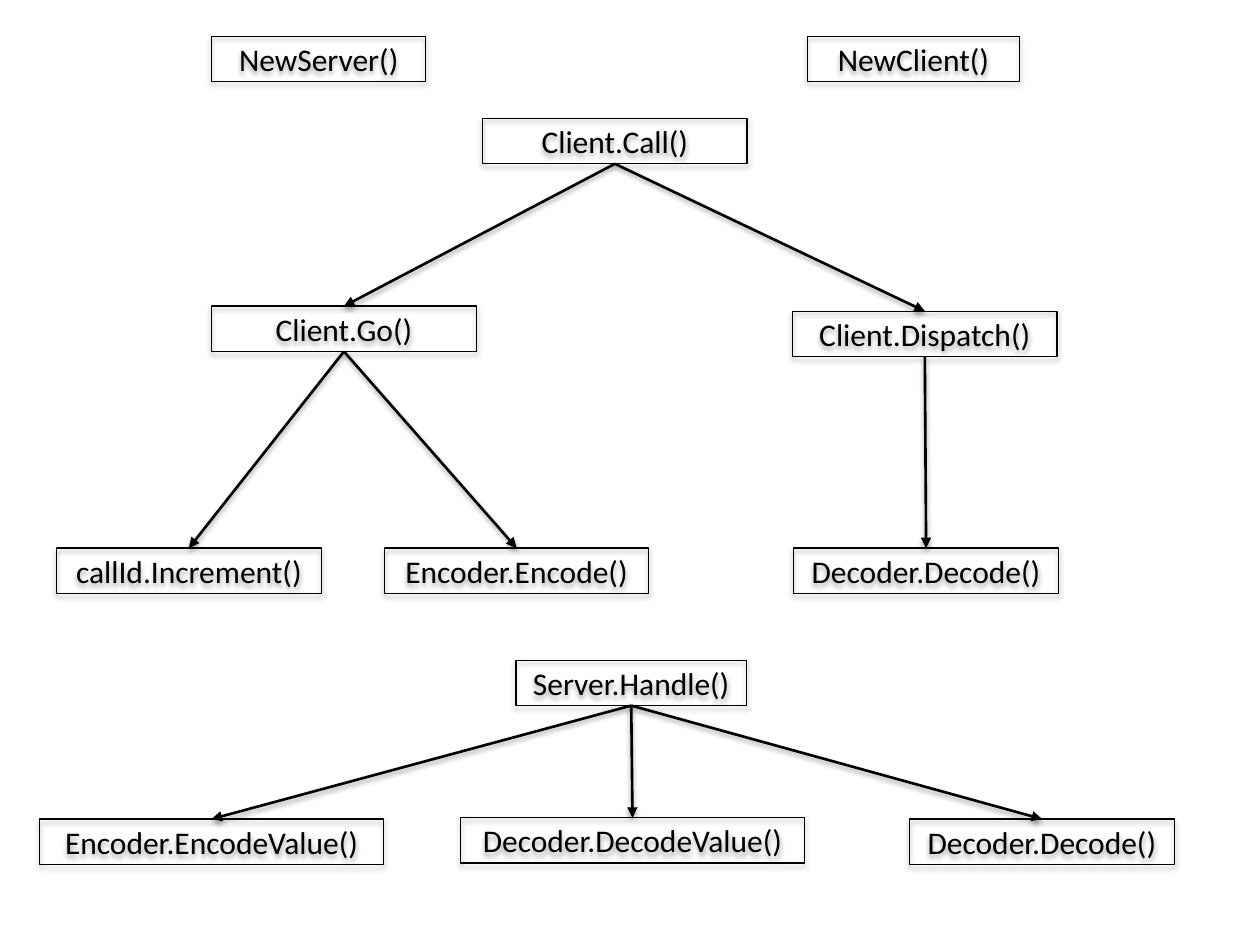
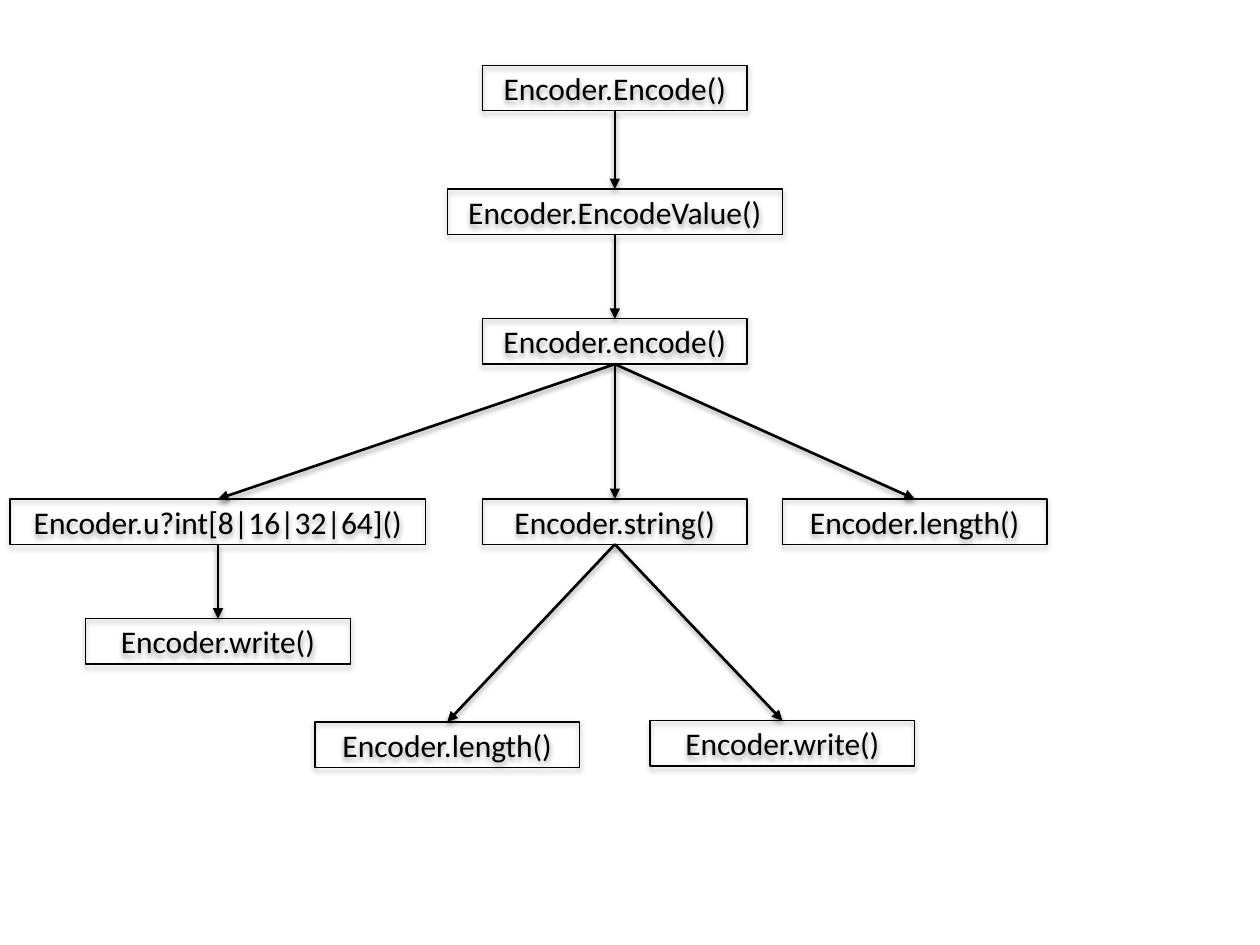
import dataclasses
import pptx
import pptx.dml.color
import pptx.enum.dml
import pptx.enum.shapes
import pptx.enum.text
import pptx.oxml
import pptx.oxml.ns
import pptx.util
from pptx.util import Inches


@dataclasses.dataclass(frozen=True)
class Theme:
    """Colours, type and line styles that both slides share."""
    ink: str = "000000"
    font: str = "Calibri"
    text_size: float = 18
    outline: float = 0.75
    arrow: float = 1.5
    box_height: float = 0.36
    box_shadow: tuple = (35, 3.1, 1.8)
    arrow_shadow: tuple = (38, 3.1, 1.6)


@dataclasses.dataclass(frozen=True)
class Call:
    """A function, its place relative to its caller, and what it calls."""
    label: str
    shift: float = 0    # from the caller's centre to this centre
    drop: float = 0     # from the caller's top to this top
    width: float = 2.1
    calls: tuple = ()


THEME = Theme()
INK = pptx.dml.color.RGBColor.from_string(THEME.ink)
BOTTOM, TOP = 2, 0      # connection sites of a rectangle

CLIENT_CALL = Call("Client.Call()", calls=(
    Call("Client.Go()", -2.15, 1.49, calls=(
        Call("callId.Increment()", -1.23, 1.92),
        Call("Encoder.Encode()", 1.37, 1.92))),
    Call("Client.Dispatch()", 2.46, 1.53, calls=(
        Call("Decoder.Decode()", 0.01, 1.88),)),
))
SERVER_HANDLE = Call("Server.Handle()", width=1.83, calls=(
    Call("Encoder.EncodeValue()", -3.33, 1.26, 2.73),
    Call("Decoder.DecodeValue()", 0.01, 1.25, 2.73),
    Call("Decoder.Decode()", 3.26, 1.26),
))
ENCODE_BRANCHES = (
    Call("Encoder.u?int[8|16|32|64]()", -3.15, 1.43, 3.3, calls=(
        Call("Encoder.write()", 0, 0.95),)),
    Call("Encoder.string()", 0, 1.43, calls=(
        Call("Encoder.length()", -1.33, 1.77),
        Call("Encoder.write()", 1.33, 1.76))),
    Call("Encoder.length()", 2.38, 1.43),
)
ENCODER_ENCODE = Call("Encoder.Encode()", calls=(
    Call("Encoder.EncodeValue()", 0, 0.98, 2.66, calls=(
        Call("Encoder.encode()", 0, 1.03, calls=ENCODE_BRANCHES),)),
))


def apply_format(target, values):
    """Set every attribute named in a dict of format values."""
    for attribute, value in values.items():
        setattr(target, attribute, value)


def style_line(line, width):
    """Give a line the ink colour and a width in points."""
    line.color.rgb = INK
    line.width = pptx.util.Pt(width)


def add_shadow(drawn, shadow):
    """Put a soft shadow straight below a box or an arrow."""
    opacity, blur, distance = shadow
    properties = drawn._element.spPr
    for old in properties.findall(pptx.oxml.ns.qn("a:effectLst")):
        properties.remove(old)
    properties.append(pptx.oxml.parse_xml(
        f'<a:effectLst {pptx.oxml.ns.nsdecls("a")}>'
        f'<a:outerShdw blurRad="{pptx.util.Pt(blur)}" dist="{pptx.util.Pt(distance)}"'
        ' dir="5400000" rotWithShape="0">'
        f'<a:srgbClr val="{THEME.ink}"><a:alpha val="{opacity * 1000}"/></a:srgbClr>'
        '</a:outerShdw></a:effectLst>'))


def add_function_box(slide, call, centre, top):
    """Draw one function as an outlined box, centred on a given place."""
    function_box = slide.shapes.add_shape(
        pptx.enum.shapes.MSO_SHAPE.RECTANGLE, Inches(centre - call.width / 2),
        Inches(top), Inches(call.width), Inches(THEME.box_height))
    function_box.fill.background()
    style_line(function_box.line, THEME.outline)
    add_shadow(function_box, THEME.box_shadow)
    frame = function_box.text_frame
    apply_format(frame, {"text": call.label, "word_wrap": True,
                         "vertical_anchor": pptx.enum.text.MSO_ANCHOR.MIDDLE})
    label = frame.paragraphs[0]
    label.alignment = pptx.enum.text.PP_ALIGN.CENTER
    label_font = label.runs[0].font
    apply_format(label_font, {"name": THEME.font,
                              "size": pptx.util.Pt(THEME.text_size)})
    label_font.color.rgb = INK
    return function_box


def add_call_arrow(slide, caller, callee):
    """Join the bottom of the caller to the top of the callee."""
    arrow = slide.shapes.add_connector(
        pptx.enum.shapes.MSO_CONNECTOR.STRAIGHT, 0, 0, 0, 0)
    arrow.begin_connect(caller, BOTTOM)
    arrow.end_connect(callee, TOP)
    style_line(arrow.line, THEME.arrow)
    arrow.line._get_or_add_ln().append(pptx.oxml.parse_xml(
        f'<a:tailEnd {pptx.oxml.ns.nsdecls("a")} type="triangle"/>'))
    add_shadow(arrow, THEME.arrow_shadow)


def add_call_tree(slide, call, centre, top):
    """Draw a function and, below it, everything it calls."""
    caller = add_function_box(slide, call, centre, top)
    for called in call.calls:
        callee = add_call_tree(slide, called, centre + called.shift, top + called.drop)
        add_call_arrow(slide, caller, callee)
    return caller


def build_slide(deck, trees):
    """Add a slide without a title and draw call trees at (centre, top)."""
    slide = deck.slides.add_slide(deck.slide_layouts[6])
    for call, centre, top in trees:
        add_call_tree(slide, call, centre, top)


deck = pptx.Presentation()
apply_format(deck, {"slide_width": Inches(10), "slide_height": Inches(7.5)})
build_slide(deck, (
    (Call("NewServer()", width=1.7), 2.53, 0.29),
    (Call("NewClient()", width=1.68), 7.25, 0.29),
    (CLIENT_CALL, 4.88, 0.94),
    (SERVER_HANDLE, 5.01, 5.24),
))
build_slide(deck, ((ENCODER_ENCODE, 4.88, 0.52),))
deck.save("out.pptx")
